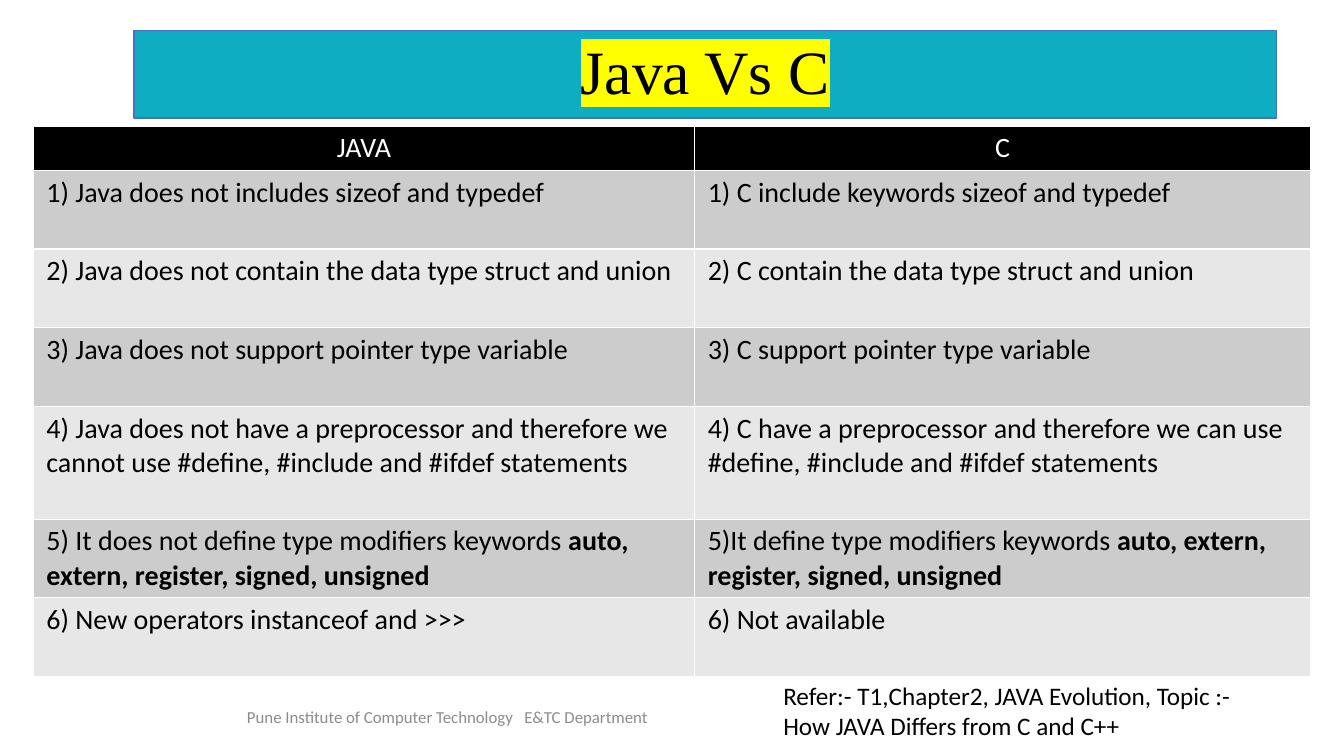
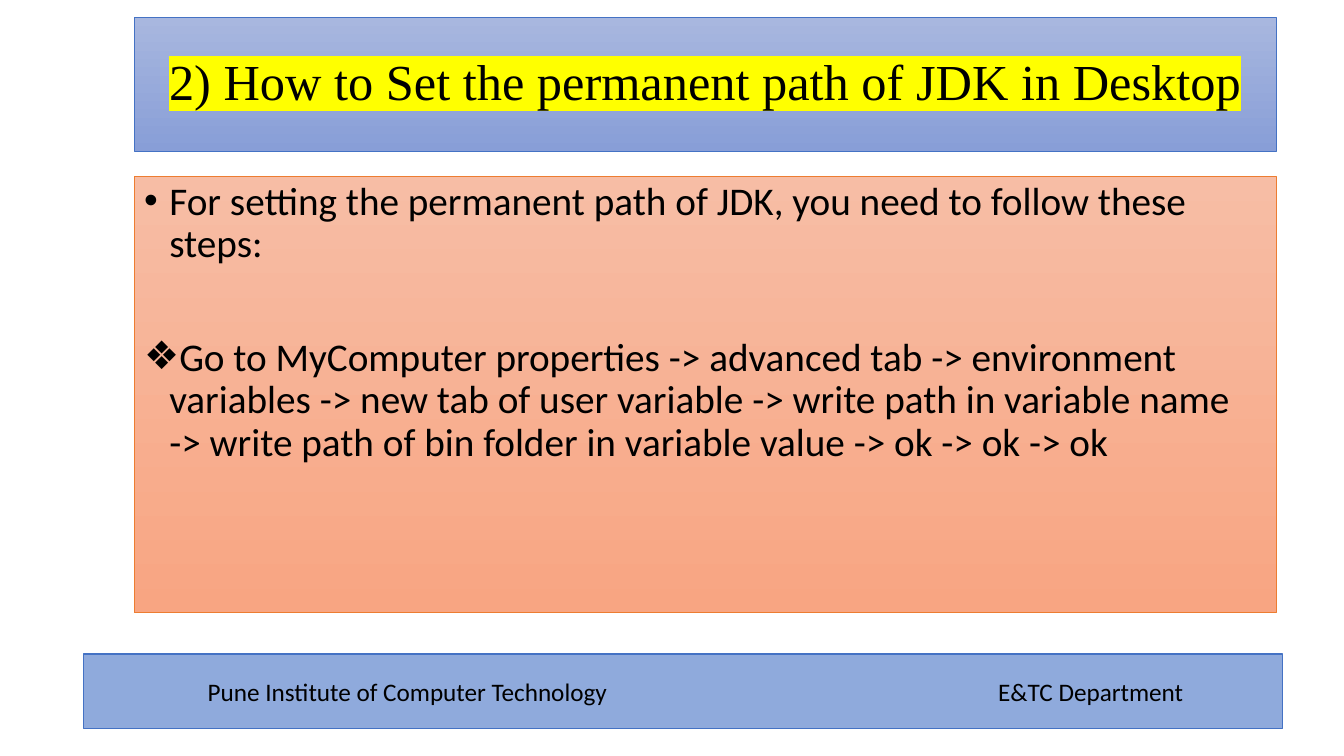
import lxml.etree
import pptx
import pptx.dml.color
import pptx.enum.dml
import pptx.enum.shapes
import pptx.enum.text
import pptx.oxml.ns
import pptx.util

Inches = pptx.util.Inches
Pt = pptx.util.Pt
qn = pptx.oxml.ns.qn
CENTER = pptx.enum.text.PP_ALIGN.CENTER
MIDDLE = pptx.enum.text.MSO_ANCHOR.MIDDLE
TOP = pptx.enum.text.MSO_ANCHOR.TOP


def rgb(value):
    return pptx.dml.color.RGBColor.from_string(value)


def add_xml(parent, tag, **attributes):
    return lxml.etree.SubElement(parent, qn(tag), attributes)


def write(paragraph, text, size=18, font="Calibri", color="000000", bold=False, align=None,
          highlight=None, bullet=None, tab=None, line_spacing=None, space_before=0):
    properties = paragraph._p.get_or_add_pPr()
    if bullet:
        properties.set("marL", str(Inches(0.25)))
        properties.set("indent", str(Inches(-0.25)))
        add_xml(properties, "a:buFont", typeface="Arial")
        add_xml(properties, "a:buChar", char=bullet)
    if tab:
        stops = add_xml(properties, "a:tabLst")
        add_xml(stops, "a:tab", pos=str(Inches(tab)), algn="l")
    if align is not None:
        paragraph.alignment = align
    if line_spacing:
        paragraph.line_spacing = line_spacing
    paragraph.space_before = Pt(space_before)
    run = paragraph.add_run()
    run.text = text
    run.font.size = Pt(size)
    run.font.bold = bold
    run.font.color.rgb = rgb(color)
    run.font.name = font
    if highlight:
        marker = lxml.etree.Element(qn("a:highlight"))
        add_xml(marker, "a:srgbClr", val=highlight)
        run._r.rPr.find(qn("a:solidFill")).addnext(marker)


class Deck:
    blue = "4472C4"
    orange = "ED7D31"
    white = "FFFFFF"
    header_fill = "000000"
    row_fills = ("CCCCCC", "E7E7E7")
    column_left = 1.33
    column_width = 11.33
    institute = "Pune Institute of Computer Technology\tE&TC Department"

    def __init__(self):
        self.presentation = pptx.Presentation()
        self.presentation.slide_width = Inches(13.33)
        self.presentation.slide_height = Inches(7.5)
        self.slide = None

    def new_slide(self, layout):
        layouts = self.presentation.slide_layouts
        self.slide = self.presentation.slides.add_slide(layouts.get_by_name(layout))

    def paint(self, shape, fills, outline, weight):
        if len(fills) == 1:
            shape.fill.solid()
            shape.fill.fore_color.rgb = rgb(fills[0])
        else:
            shape.fill.gradient()
            shape.fill.gradient_angle = 270
            for stop, color in zip(shape.fill.gradient_stops, fills):
                stop.color.rgb = rgb(color)
        shape.line.color.rgb = rgb(outline)
        shape.line.width = Pt(weight)

    def panel(self, placeholder, top, height, fills, outline, weight, anchor):
        placeholder.left, placeholder.top = Inches(self.column_left), Inches(top)
        placeholder.width, placeholder.height = Inches(self.column_width), Inches(height)
        self.paint(placeholder, fills, outline, weight)
        frame = placeholder.text_frame
        frame.auto_size = pptx.enum.text.MSO_AUTO_SIZE.NONE
        frame.word_wrap = True
        frame.vertical_anchor = anchor
        return frame

    def title(self, text, top, height, fills, size, weight):
        frame = self.panel(self.slide.shapes.title, top, height, fills, self.blue, weight, MIDDLE)
        write(frame.paragraphs[0], text, size=size, font="Times New Roman",
              align=CENTER, highlight="FFFF00", line_spacing=0.9)

    def steps(self, items, top, height, fills, gap):
        frame = self.panel(self.slide.placeholders[1], top, height, fills, self.orange, 0.5, TOP)
        for index, (bullet, text) in enumerate(items):
            paragraph = frame.add_paragraph() if index else frame.paragraphs[0]
            write(paragraph, text, size=28, bullet=bullet, line_spacing=0.9,
                  space_before=gap if index else 0)

    def text(self, text, left, top, width, height, anchor=TOP, inset=0.1, **style):
        box = self.slide.shapes.add_textbox(Inches(left), Inches(top), Inches(width), Inches(height))
        box.text_frame.word_wrap = True
        box.text_frame.vertical_anchor = anchor
        box.text_frame.margin_left = Inches(inset)
        write(box.text_frame.paragraphs[0], text, **style)

    def footer(self):
        self.text(self.institute, 2.19, 6.91, 4.5, 0.4, anchor=MIDDLE, inset=0.26,
                  size=12, color="8C8C8C", tab=2.75)

    def footer_band(self):
        band = self.slide.shapes.add_shape(pptx.enum.shapes.MSO_SHAPE.RECTANGLE, Inches(0.83),
                                           Inches(6.49), Inches(11.89), Inches(0.74))
        band.shadow.inherit = False
        self.paint(band, ["8FAADC"], self.blue, 1)
        band.text_frame.word_wrap = True
        band.text_frame.vertical_anchor = MIDDLE
        band.text_frame.margin_left = Inches(1.23)
        write(band.text_frame.paragraphs[0], self.institute, tab=7.84,
              align=pptx.enum.text.PP_ALIGN.LEFT)

    def cell(self, cell, parts, fill, **style):
        cell.margin_left = cell.margin_right = Inches(0.13)
        cell.margin_top = cell.margin_bottom = Inches(0.05)
        properties = cell._tc.get_or_add_tcPr()
        for side in "LRTB":
            border = add_xml(properties, f"a:ln{side}", w=str(Pt(1)))
            add_xml(add_xml(border, "a:solidFill"), "a:srgbClr", val=self.white)
        cell.fill.solid()
        cell.fill.fore_color.rgb = rgb(fill)
        for index, part in enumerate(parts):
            write(cell.text_frame.paragraphs[0], part, size=20, bold=index == 1, **style)

    def table(self, rows, left, top, widths, heights):
        frame = self.slide.shapes.add_table(len(rows), len(widths), Inches(left), Inches(top),
                                            Inches(sum(widths)), Inches(sum(heights)))
        grid = frame.table
        for column, width in zip(grid.columns, widths):
            column.width = Inches(width)
        for index, (row, height) in enumerate(zip(rows, heights)):
            grid.rows[index].height = Inches(height)
            if index:
                fill, style = self.row_fills[(index - 1) % 2], {}
            else:
                fill, style = self.header_fill, {"color": self.white, "align": CENTER}
            for column, parts in enumerate(row):
                self.cell(grid.cell(index, column), parts, fill, **style)


MODIFIERS = "auto, extern, register, signed, unsigned"
COMPARISON = [
    (["JAVA"], ["C"]),
    (["1) Java does not includes sizeof and typedef"],
     ["1) C include keywords sizeof and typedef"]),
    (["2) Java does not contain the data type struct and union"],
     ["2) C contain the data type struct and union"]),
    (["3) Java does not support pointer type variable"],
     ["3) C support pointer type variable"]),
    (["4) Java does not have a preprocessor and therefore we cannot use "
      "#define, #include and #ifdef statements"],
     ["4) C have a preprocessor and therefore we can use "
      "#define, #include and #ifdef statements"]),
    (["5) It does not define type modifiers keywords ", MODIFIERS],
     ["5)It define type modifiers keywords ", MODIFIERS]),
    (["6) New operators instanceof and >>>"], ["6) Not available"]),
]
PATH_STEPS = [
    ("•", "For setting the permanent path of JDK, you need to follow these steps:"),
    ("❖", "Go to MyComputer properties -> advanced tab -> environment variables -> "
          "new tab of user variable -> write path in variable name -> "
          "write path of bin folder in variable value -> ok -> ok -> ok"),
]


def main():
    deck = Deck()

    deck.new_slide("Title Only")
    deck.title("Java Vs C", 0.3, 0.87, ["0EADC2"], size=44, weight=1)
    deck.table(COMPARISON, 0.33, 1.25, [6.56, 6.11], [0.43] + [0.78] * 3 + [1.12] + [0.78] * 2)
    deck.footer()
    deck.text("Refer:- T1,Chapter2, JAVA Evolution, Topic :- How JAVA Differs from C and C++",
              7.67, 6.7, 4.75, 0.71)

    deck.new_slide("Title and Content")
    deck.title("2) How to Set the permanent path of JDK in Desktop", 0.17, 1.33,
               ["A8B7DF", "889ED7"], size=36, weight=0.5)
    deck.steps(PATH_STEPS, 1.75, 4.33, ["F7BDA5", "F8A582"], gap=51)
    deck.footer_band()

    deck.presentation.save("out.pptx")


if __name__ == "__main__":
    main()
